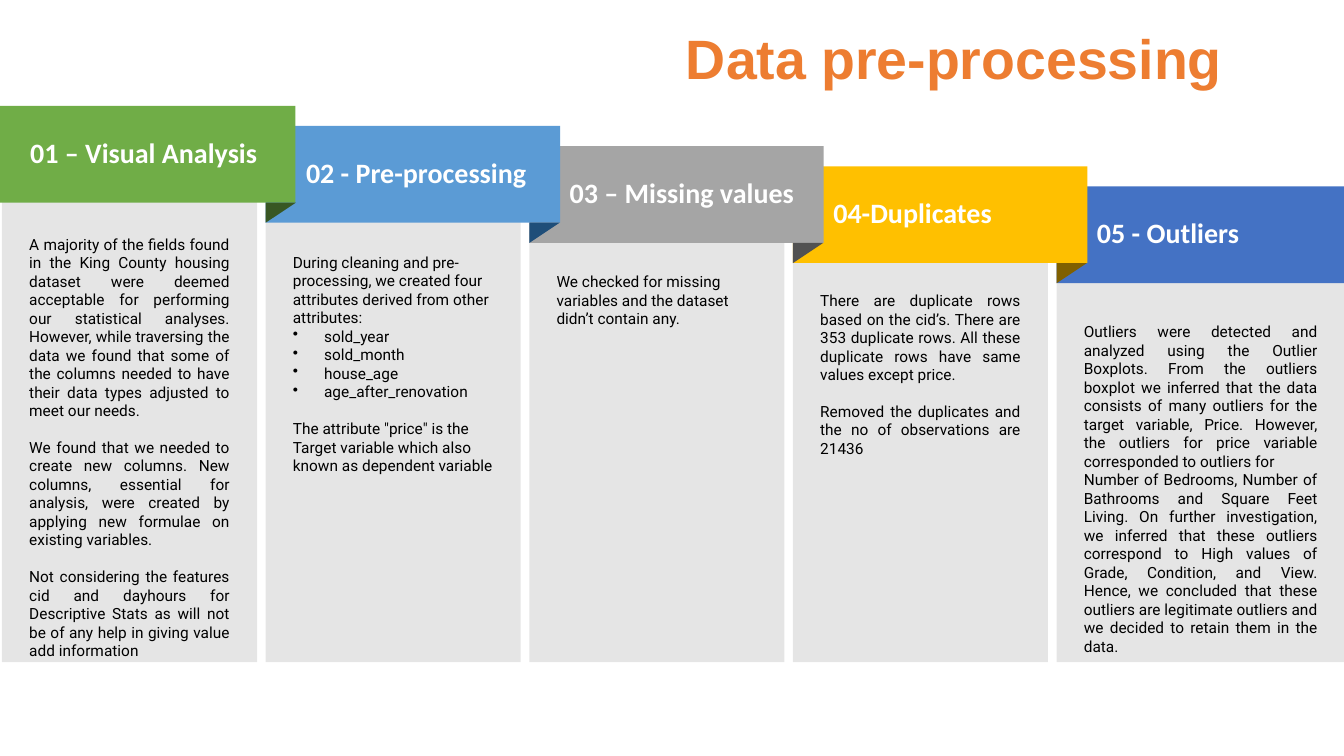
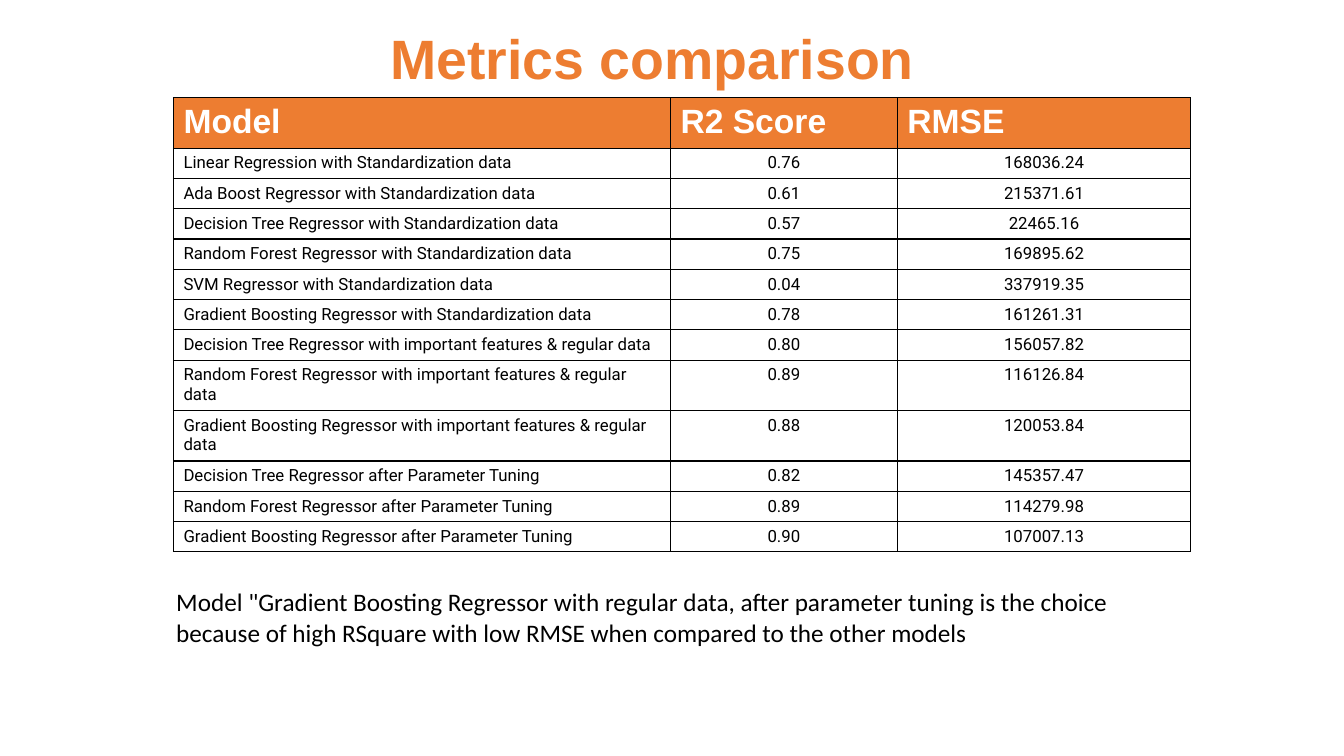
from dataclasses import dataclass

from lxml import etree
from pptx import Presentation
from pptx.dml.color import RGBColor
from pptx.enum.shapes import MSO_SHAPE as Preset
from pptx.enum.text import MSO_ANCHOR as Anchor, PP_ALIGN as Align
from pptx.oxml.ns import qn
from pptx.util import Inches, Pt

COLOURS = {
    "accent": "ED7D31", "black": "000000", "white": "FFFFFF",
    "green": "70AD47", "blue": "5B9BD5", "grey": "A5A5A5",
    "yellow": "FFC000", "navy": "4472C4",
    "dark_green": "385723", "dark_blue": "1F4E79",
    "dark_grey": "525252", "dark_yellow": "806000",
}

# Staircase of columns, in inches
COLUMN_LEFT, COLUMN_PITCH = 0.02, 2.615
HEADER_TOP, HEADER_STEP, HEADER_HEIGHT = 1.05, 0.2, 0.96
PANEL_WIDTH, PANEL_BOTTOM = 2.53, 6.57
FOLD_WIDTH, FOLD_HEIGHT = 0.3, 0.2


@dataclass
class Text:
    text: str
    bullet: bool = False
    gap: bool = False  # one empty line above


@dataclass
class Column:
    heading: str
    colour: str
    fold: str | None  # colour of the fold to the next column
    panel_top: float
    body: list[Text]
    align: Align = Align.JUSTIFY
    header_left: float | None = None
    header_width: float = 2.92
    heading_inset: float = 0.4
    panel_width: float = PANEL_WIDTH


COLUMNS = [
    Column("01 – Visual Analysis", "green", "dark_green", 1.93, [
        Text("A majority of the fields found in the King County housing dataset were deemed "
             "acceptable for performing our statistical analyses. However, while traversing "
             "the data we found that some of the columns needed to have their data types "
             "adjusted to meet our needs."),
        Text("We found that we needed to create new columns. New columns, essential for "
             "analysis, were created by applying new formulae on existing variables.", gap=True),
        Text("Not considering the features cid and dayhours for Descriptive Stats as will "
             "not be of any help in giving value add information", gap=True),
    ], header_left=0, header_width=2.93, heading_inset=0.3),
    Column("02 - Pre-processing", "blue", "dark_blue", 2.11, [
        Text("During cleaning and pre-processing, we created four attributes derived from "
             "other attributes:"),
        Text("sold_year", bullet=True),
        Text("sold_month", bullet=True),
        Text("house_age", bullet=True),
        Text("age_after_renovation", bullet=True),
        Text('The attribute "price" is the Target variable which also known as dependent '
             "variable", gap=True),
    ], align=Align.LEFT),
    Column("03 – Missing values", "grey", "dark_grey", 2.3, [
        Text("We checked for missing variables and the dataset didn’t contain any."),
    ], align=Align.LEFT),
    Column("04-Duplicates", "yellow", "dark_yellow", 2.49, [
        Text("There are duplicate rows based on the cid’s. There are 353 duplicate rows. "
             "All these duplicate rows have same values except price."),
        Text("Removed the duplicates and the no of observations are 21436", gap=True),
    ]),
    Column("05 - Outliers", "navy", None, 2.8, [
        Text("Outliers were detected and analyzed using the Outlier Boxplots. From the "
             "outliers boxplot we inferred that the data consists of many outliers for the "
             "target variable, Price. However, the outliers for price variable corresponded "
             "to outliers for"),
        Text("Number of Bedrooms, Number of Bathrooms and Square Feet Living. On further "
             "investigation, we inferred that these outliers correspond to High values of "
             "Grade, Condition, and View. Hence, we concluded that these outliers are "
             "legitimate outliers and we decided to retain them in the data."),
    ], header_width=2.85, panel_width=2.86),
]

STANDARD = "with Standardization data"
IMPORTANT = "with important features & regular data"
TUNED = "after Parameter Tuning"
METRICS = [
    (f"Linear Regression {STANDARD}", "0.76", "168036.24"),
    (f"Ada Boost Regressor {STANDARD}", "0.61", "215371.61"),
    (f"Decision Tree Regressor {STANDARD}", "0.57", "22465.16"),
    (f"Random Forest Regressor {STANDARD}", "0.75", "169895.62"),
    (f"SVM Regressor {STANDARD}", "0.04", "337919.35"),
    (f"Gradient Boosting Regressor {STANDARD}", "0.78", "161261.31"),
    (f"Decision Tree Regressor {IMPORTANT}", "0.80", "156057.82"),
    (f"Random Forest Regressor {IMPORTANT}", "0.89", "116126.84"),
    (f"Gradient Boosting Regressor {IMPORTANT}", "0.88", "120053.84"),
    (f"Decision Tree Regressor {TUNED}", "0.82", "145357.47"),
    (f"Random Forest Regressor {TUNED}", "0.89", "114279.98"),
    (f"Gradient Boosting Regressor {TUNED}", "0.90", "107007.13"),
]


def rgb(name: str) -> RGBColor:
    return RGBColor.from_string(COLOURS[name])


def style(paragraph, font: str, size: float, colour: str, bold: bool = False,
          align: Align = Align.LEFT) -> None:
    paragraph.alignment = align
    paragraph.font.name = font
    paragraph.font.size = Pt(size)
    paragraph.font.bold = bold
    paragraph.font.color.rgb = rgb(colour)


def add_bullet(paragraph) -> None:
    properties = paragraph._p.get_or_add_pPr()
    properties.set("marL", str(Inches(0.31)))
    properties.set("indent", str(-Inches(0.31)))
    etree.SubElement(properties, qn("a:buChar"), char="•")


def set_insets(frame, left: float, top: float, right: float, bottom: float) -> None:
    frame.margin_left, frame.margin_top = Inches(left), Inches(top)
    frame.margin_right, frame.margin_bottom = Inches(right), Inches(bottom)


def add_block(slide, preset: Preset, left: float, top: float, width: float, height: float,
              colour: str, opacity: int = 100):
    shape = slide.shapes.add_shape(preset, Inches(left), Inches(top),
                                   Inches(width), Inches(height))
    shape.shadow.inherit = False
    shape.line.fill.background()
    shape.fill.solid()
    shape.fill.fore_color.rgb = rgb(colour)
    if opacity < 100:
        colour_element = shape._element.spPr.find(".//" + qn("a:srgbClr"))
        etree.SubElement(colour_element, qn("a:alpha"), val=str(opacity * 1000))
    return shape


def add_text_box(slide, left: float, top: float, width: float, height: float, text: str):
    frame = slide.shapes.add_textbox(Inches(left), Inches(top),
                                     Inches(width), Inches(height)).text_frame
    frame.word_wrap = True
    frame.text = text
    return frame


def add_titled_slide(presentation, title: str, align: Align):
    slide = presentation.slides.add_slide(presentation.slide_layouts[6])
    frame = add_text_box(slide, 0.72, 0.25, 11.5, 0.72, title)
    frame.vertical_anchor = Anchor.MIDDLE
    frame.paragraphs[0].line_spacing = 0.9
    style(frame.paragraphs[0], "Arial", 39.6, "accent", True, align)
    return slide


def add_column(slide, column: Column, index: int) -> None:
    left = COLUMN_LEFT + index * COLUMN_PITCH

    # Grey panel with the body text
    panel = add_block(slide, Preset.RECTANGLE, left, column.panel_top, column.panel_width,
                      PANEL_BOTTOM - column.panel_top, "black", 10)
    frame = panel.text_frame
    frame.word_wrap = True
    frame.vertical_anchor = Anchor.TOP
    set_insets(frame, 0.27, 0.4, 0.27, 0.27)
    for number, item in enumerate(column.body):
        paragraph = frame.add_paragraph() if number else frame.paragraphs[0]
        paragraph.text = item.text
        if item.gap:
            paragraph.space_before = Pt(13)
        if item.bullet:
            add_bullet(paragraph)
        style(paragraph, "Roboto", 11, "black", align=column.align)

    # Coloured header
    header_left = left if column.header_left is None else column.header_left
    header = add_block(slide, Preset.RECTANGLE, header_left, HEADER_TOP + index * HEADER_STEP,
                       column.header_width, HEADER_HEIGHT, column.colour)
    frame = header.text_frame
    frame.word_wrap = True
    frame.vertical_anchor = Anchor.MIDDLE
    set_insets(frame, column.heading_inset, 0, 0, 0)
    frame.text = column.heading
    paragraph = frame.paragraphs[0]
    paragraph.line_spacing = 0.9
    paragraph.space_after = Pt(2.7)
    style(paragraph, "Calibri", 20, "white", True)


def add_fold(slide, colour: str, index: int) -> None:
    # The triangle is turned a quarter about its centre
    centre_x = COLUMN_LEFT + (index + 1) * COLUMN_PITCH + FOLD_WIDTH / 2
    centre_y = HEADER_TOP + index * HEADER_STEP + HEADER_HEIGHT + FOLD_HEIGHT / 2
    fold = add_block(slide, Preset.RIGHT_TRIANGLE, centre_x - FOLD_HEIGHT / 2,
                     centre_y - FOLD_WIDTH / 2, FOLD_HEIGHT, FOLD_WIDTH, colour)
    fold.rotation = 90


def set_cell(cell, text: str, header: bool, align: Align) -> None:
    # Borders come before the fill in the cell properties
    properties = cell._tc.get_or_add_tcPr()
    for side in ("a:lnL", "a:lnR", "a:lnT", "a:lnB"):
        line = etree.SubElement(properties, qn(side), w=str(Pt(1)))
        fill = etree.SubElement(line, qn("a:solidFill"))
        etree.SubElement(fill, qn("a:srgbClr"), val=COLOURS["black"])
    cell.fill.solid()
    cell.fill.fore_color.rgb = rgb("accent" if header else "white")
    cell.text = text
    if header:
        style(cell.text_frame.paragraphs[0], "Arial", 24, "white", True)
    else:
        style(cell.text_frame.paragraphs[0], "Roboto", 12, "black", align=align)


def add_metrics_table(slide) -> None:
    rows = [("Model", "R2 Score", "RMSE"), *METRICS]
    widths = (4.93, 2.25, 2.91)
    table = slide.shapes.add_table(len(rows), len(widths), Inches(1.72), Inches(0.97),
                                   Inches(sum(widths)), Inches(4.5)).table
    table.horz_banding = False
    for column, width in zip(table.columns, widths):
        column.width = Inches(width)
    for row_index, values in enumerate(rows):
        table.rows[row_index].height = Inches(0.22 if row_index else 0.31)
        for column_index, value in enumerate(values):
            set_cell(table.cell(row_index, column_index), value, row_index == 0,
                     Align.CENTER if column_index else Align.LEFT)


def main() -> None:
    presentation = Presentation()
    presentation.slide_width, presentation.slide_height = Inches(13.33), Inches(7.5)

    # Slide 1: staircase, drawn from the right so that each header overlaps the next
    slide = add_titled_slide(presentation, "Data pre-processing", Align.RIGHT)
    for index, column in reversed(list(enumerate(COLUMNS))):
        add_column(slide, column, index)
    for index, column in enumerate(COLUMNS):
        if column.fold:
            add_fold(slide, column.fold, index)

    # Slide 2: table and conclusion
    slide = add_titled_slide(presentation, "Metrics comparison", Align.CENTER)
    add_metrics_table(slide)
    frame = add_text_box(slide, 1.65, 5.77, 10.1, 0.71,
                         'Model "Gradient Boosting Regressor with regular data, after parameter '
                         "tuning is the choice because of high RSquare with low RMSE when "
                         "compared to the other models")
    style(frame.paragraphs[0], "Calibri", 18, "black")

    presentation.save("out.pptx")


if __name__ == "__main__":
    main()
